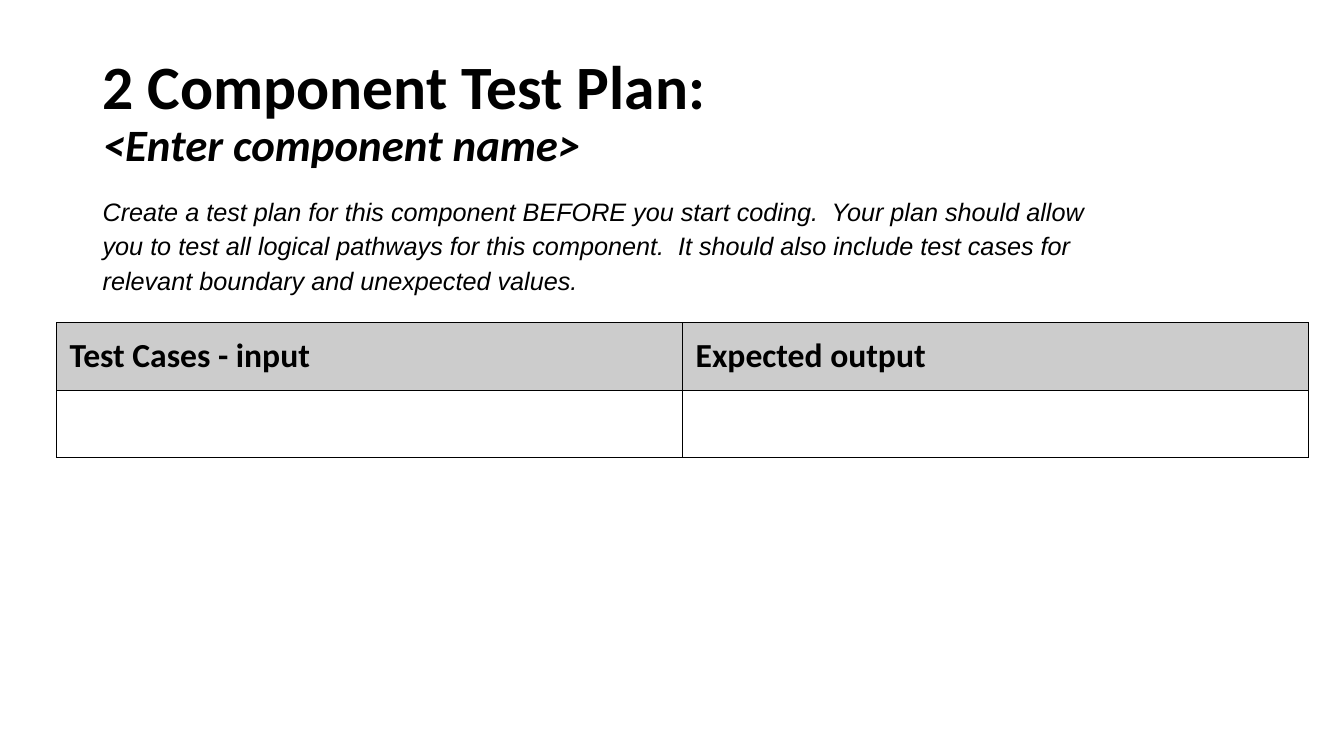
"""Build the component test plan slide."""
import pptx
import pptx.dml.color
import pptx.enum.text
import pptx.oxml.ns
import pptx.util
from lxml import etree

WIDTH, HEIGHT = 13.33, 7.5
COLORS = {"ink": "000000", "header": "CCCCCC"}
TITLE = [("2 Component Test Plan: ", 44, False), ("<Enter component name>", 32, True)]
GUIDANCE = (
    "Create a test plan for this component BEFORE you start coding.  "
    "Your plan should allow you to test all logical pathways for this component.  "
    "It should also include test cases for relevant boundary and unexpected values."
)
TABLE = [("Test Cases - input", "Expected output"), ("", "")]
LEFT, TITLE_TOP, TITLE_HEIGHT = 0.92, 0.4, 1.45
GUIDANCE_WIDTH, GUIDANCE_HEIGHT = 10.33, 1.12
TABLE_LEFT, TABLE_TOP = 0.56, 3.2
COLUMN_WIDTH, ROW_HEIGHT, CELL_MARGIN = 6.21, 0.67, 0.13


def inches(*lengths):
    return [pptx.util.Inches(length) for length in lengths]


def color(name):
    return pptx.dml.color.RGBColor.from_string(COLORS[name])


def add_span(para, text, size, font, bold=False, italic=False):
    span = para.add_run()
    span.text = text
    span.font.size = pptx.util.Pt(size)
    span.font.name = font
    span.font.bold, span.font.italic = bold, italic
    span.font.color.rgb = color("ink")


def add_borders(cell):
    properties = cell._tc.get_or_add_tcPr()
    tag = pptx.oxml.ns.qn
    for side in ("a:lnL", "a:lnR", "a:lnT", "a:lnB"):
        line = etree.SubElement(properties, tag(side), w=str(pptx.util.Pt(0.75)))
        fill = etree.SubElement(line, tag("a:solidFill"))
        etree.SubElement(fill, tag("a:srgbClr"), val=COLORS["ink"])


def add_title(page):
    box = page.shapes.title
    box.left, box.top, box.width, box.height = inches(
        LEFT, TITLE_TOP, WIDTH - 2 * LEFT, TITLE_HEIGHT)
    box.text_frame.vertical_anchor = pptx.enum.text.MSO_ANCHOR.MIDDLE
    box.text_frame.auto_size = pptx.enum.text.MSO_AUTO_SIZE.NONE
    para = box.text_frame.paragraphs[0]
    para.alignment = pptx.enum.text.PP_ALIGN.LEFT
    para.line_spacing = 0.9
    for index, (text, size, italic) in enumerate(TITLE):
        if index:
            para.add_line_break()
        add_span(para, text, size, "Calibri", True, italic)


def add_guidance(page):
    box = page.shapes.add_textbox(*inches(
        LEFT, TITLE_TOP + TITLE_HEIGHT, GUIDANCE_WIDTH, GUIDANCE_HEIGHT))
    box.text_frame.word_wrap = True
    box.text_frame.auto_size = pptx.enum.text.MSO_AUTO_SIZE.SHAPE_TO_FIT_TEXT
    para = box.text_frame.paragraphs[0]
    para.line_spacing = 1.15
    add_span(para, GUIDANCE, 18, "Arial", italic=True)


def add_test_table(page):
    rows, columns = len(TABLE), len(TABLE[0])
    table = page.shapes.add_table(rows, columns, *inches(
        TABLE_LEFT, TABLE_TOP, columns * COLUMN_WIDTH, rows * ROW_HEIGHT)).table
    table.horz_banding = False
    for row, texts in enumerate(TABLE):
        for column, text in enumerate(texts):
            cell = table.cell(row, column)
            cell.margin_left, cell.margin_right, cell.margin_top, cell.margin_bottom = (
                inches(*[CELL_MARGIN] * 4))
            add_borders(cell)
            if row == 0:
                cell.fill.solid()
                cell.fill.fore_color.rgb = color("header")
            else:
                cell.fill.background()
            if text:
                add_span(cell.text_frame.paragraphs[0], text, 24, "Calibri", True)


def main():
    deck = pptx.Presentation()
    deck.slide_width, deck.slide_height = inches(WIDTH, HEIGHT)
    page = deck.slides.add_slide(deck.slide_layouts[5])
    add_title(page)
    add_guidance(page)
    add_test_table(page)
    deck.save("out.pptx")


if __name__ == "__main__":
    main()
